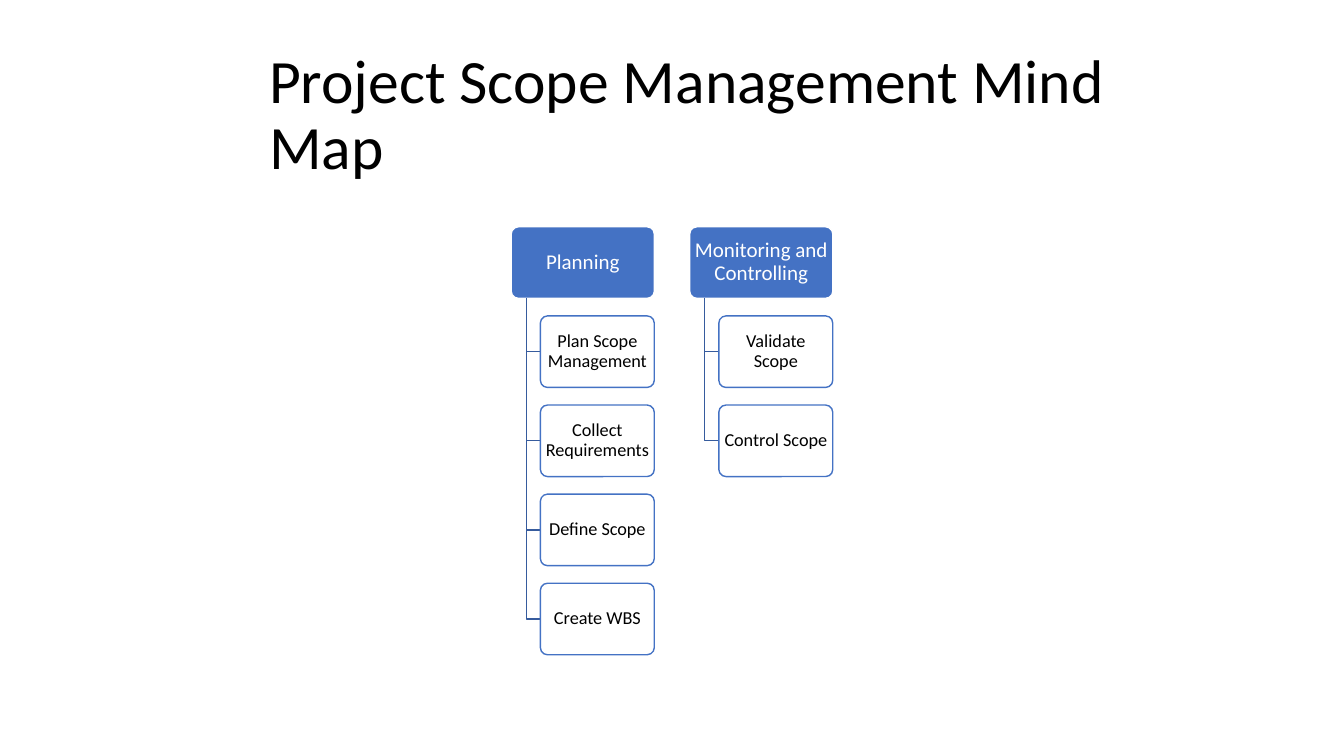
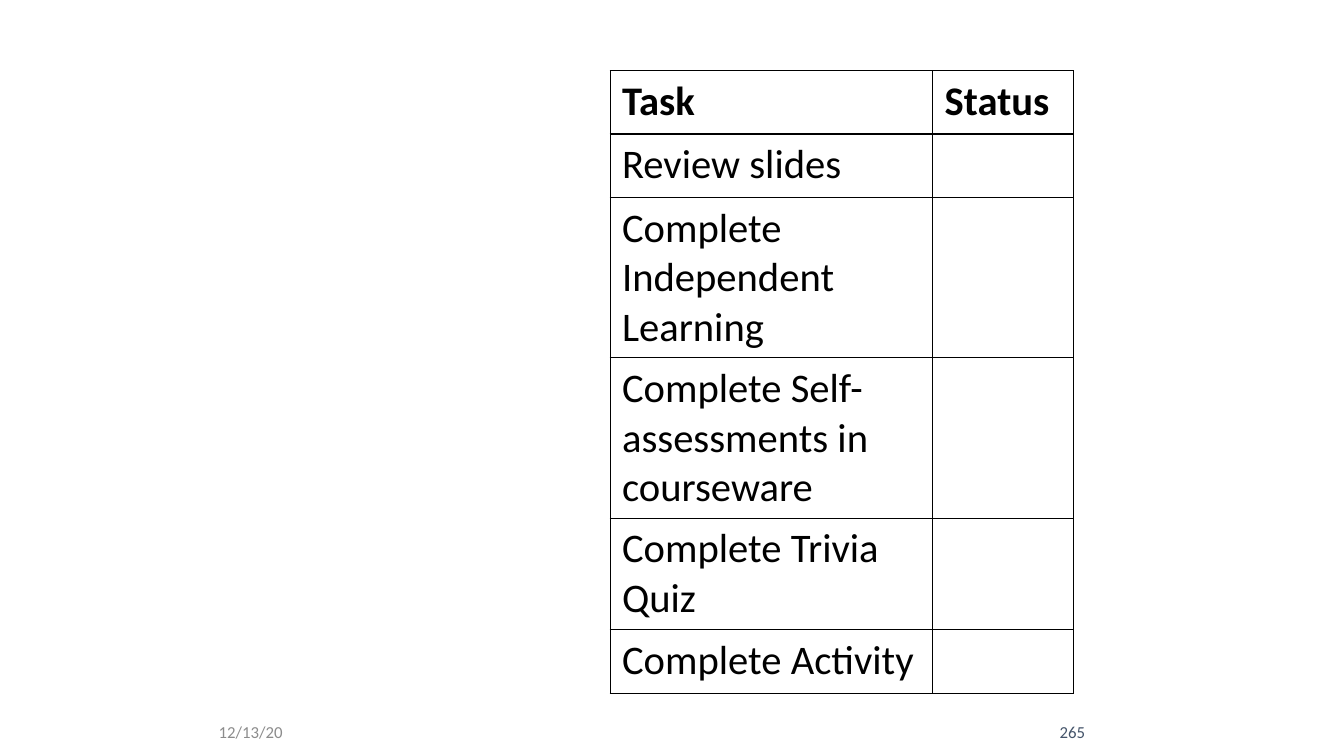
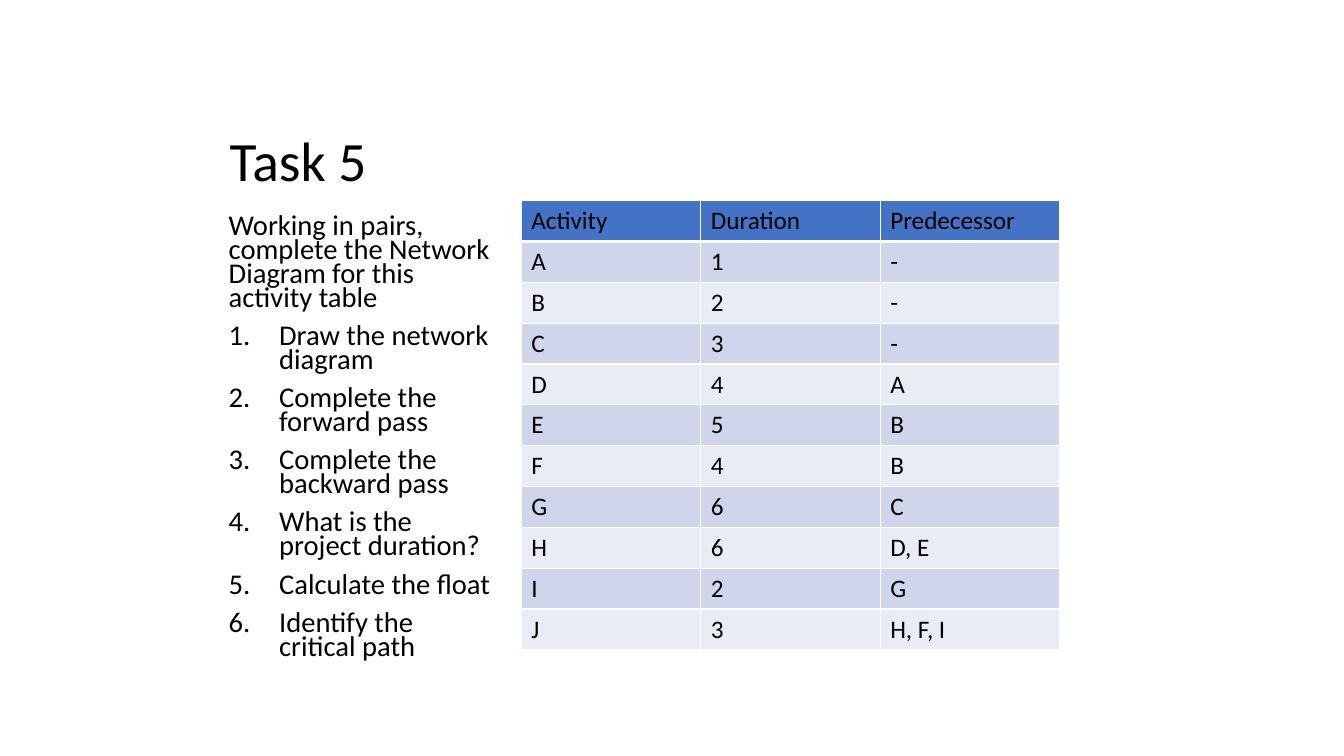
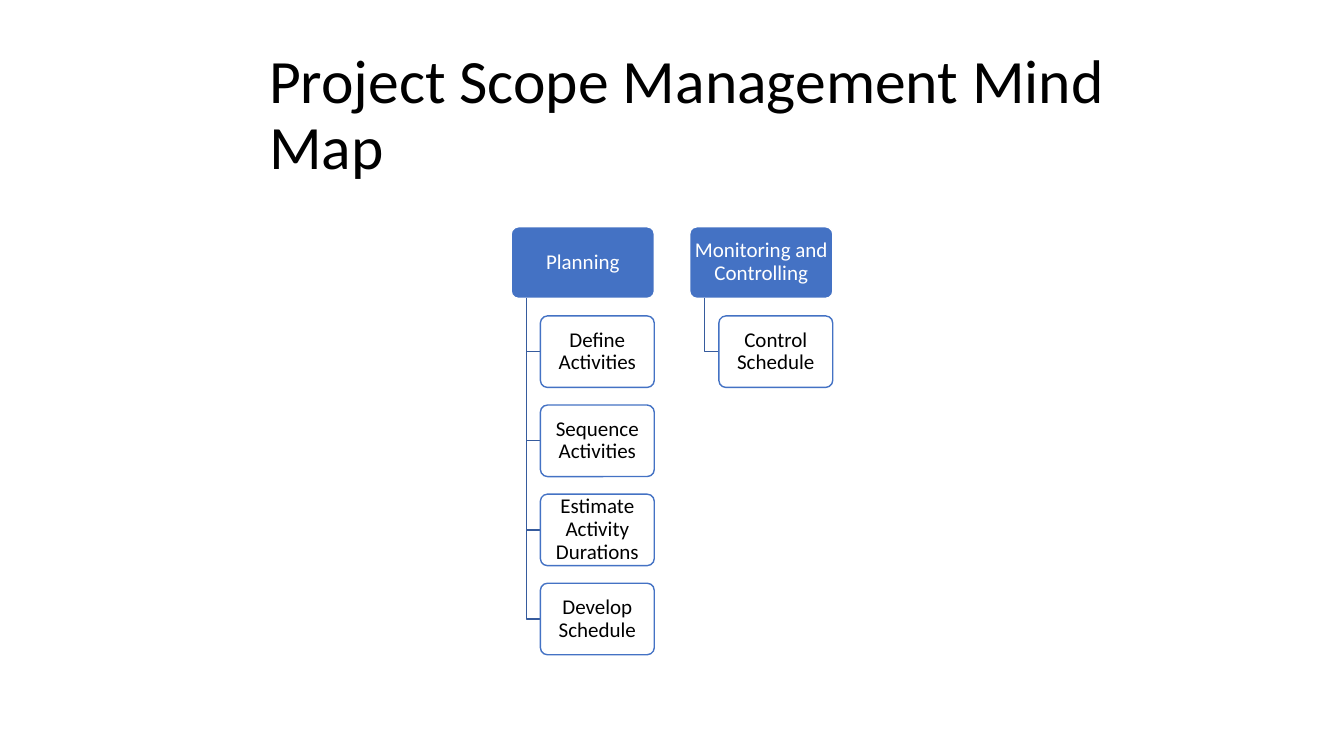
from lxml import etree
from pptx import Presentation
from pptx import util as u
from pptx.dml.color import RGBColor
from pptx.enum import shapes, text
from pptx.oxml import ns

FONT = "Calibri"
BLACK, WHITE, BLUE, EDGE = "000000", "FFFFFF", "4472C4", "365B9D"
BANDS = ["CFD5EA", "E9EBF5"]
GREY, SLATE = "8C8C8C", "44546A"

HEAD = "Project Scope Management Mind Map"
SCOPE = [
    ("Planning", ["Plan Scope Management", "Collect Requirements",
                  "Define Scope", "Create WBS"]),
    ("Monitoring and Controlling", ["Validate Scope", "Control Scope"]),
]
TIME = [
    ("Planning", ["Define Activities", "Sequence Activities",
                  "Estimate Activity Durations", "Develop Schedule"]),
    ("Monitoring and Controlling", ["Control Schedule"]),
]
CHECKS = [
    ("Task", "Status"),
    ("Review slides", ""),
    ("Complete Independent Learning", ""),
    ("Complete Self-assessments in courseware", ""),
    ("Complete Trivia Quiz", ""),
    ("Complete Activity", ""),
]
INTRO = "Working in pairs, complete the Network Diagram for this activity table"
STEPS = ["Draw the network diagram", "Complete the forward pass",
         "Complete the backward pass", "What is the project duration?",
         "Calculate the float", "Identify the critical path"]
PLAN = [
    ("Activity", "Duration", "Predecessor"),
    ("A", "1", "-"), ("B", "2", "-"), ("C", "3", "-"),
    ("D", "4", "A"), ("E", "5", "B"), ("F", "4", "B"),
    ("G", "6", "C"), ("H", "6", "D, E"), ("I", "2", "G"),
    ("J", "3", "H, F, I"),
]

prs = Presentation()
prs.slide_width, prs.slide_height = u.Inches(13.33), u.Inches(7.5)


def rgb(code):
    return RGBColor.from_string(code)


def inch(*nums):
    return [u.Inches(n) for n in nums]


def page():
    return prs.slides.add_slide(prs.slide_layouts[6])


def style(par, size, color=BLACK, bold=False, gap=None, align=None):
    if gap:
        par.line_spacing = gap
    if align:
        par.alignment = align
    font = par.font
    font.name, font.size, font.bold = FONT, u.Pt(size), bold
    font.color.rgb = rgb(color)


def label(slide, words, box, size, color=BLACK, gap=None, align=None):
    frame = slide.shapes.add_textbox(*inch(*box)).text_frame
    frame.word_wrap = True
    frame.vertical_anchor = text.MSO_ANCHOR.MIDDLE
    frame.text = words
    style(frame.paragraphs[0], size, color, gap=gap, align=align)


def title(slide, words, box, size=44):
    label(slide, words, box, size, gap=0.9)


def card(slide, words, box, size, fill, line, color):
    shape = slide.shapes.add_shape(
        shapes.MSO_SHAPE.ROUNDED_RECTANGLE, *inch(*box))
    shape.adjustments[0] = 0.1
    shape.shadow.inherit = False
    shape.fill.solid()
    shape.fill.fore_color.rgb = rgb(fill)
    shape.line.color.rgb = rgb(line)
    shape.line.width = u.Pt(1)
    frame = shape.text_frame
    frame.word_wrap = True
    frame.vertical_anchor = text.MSO_ANCHOR.MIDDLE
    frame.margin_left = frame.margin_right = u.Inches(0.02)
    frame.margin_top = frame.margin_bottom = u.Inches(0.02)
    frame.text = words
    style(frame.paragraphs[0], size, color, gap=0.9,
          align=text.PP_ALIGN.CENTER)


def elbow(slide, x, top, end, y):
    pen = slide.shapes.build_freeform(*inch(x, top), scale=1.0)
    pen.add_line_segments([inch(x, y), inch(end, y)], close=False)
    shape = pen.convert_to_shape()
    shape.shadow.inherit = False
    shape.fill.background()
    shape.line.color.rgb = rgb(EDGE)
    shape.line.width = u.Pt(1)


def tree(groups, size):
    slide = page()
    title(slide, HEAD, (2.57, 0.31, 8.6, 1.69))
    left, top, wide, high = 5.07, 2.25, 1.42, 0.71
    step, row, stem, dent = 1.77, 0.884, 0.15, 0.29
    for i, (head, kids) in enumerate(groups):
        x = left + i * step
        card(slide, head, (x, top, wide, high), 15, BLUE, WHITE, WHITE)
        for j, kid in enumerate(kids, 1):
            y = top + j * row
            elbow(slide, x + stem, top + high, x + dent, y + high / 2)
            card(slide, kid, (x + dent, y, wide - dent, high), size,
                 WHITE, BLUE, BLACK)


def border(cell, color, widths):
    props = cell._tc.get_or_add_tcPr()
    for side, width in zip("LRTB", widths):
        line = etree.SubElement(props, ns.qn("a:ln" + side),
                                w=str(u.Pt(width)))
        fill = etree.SubElement(line, ns.qn("a:solidFill"))
        etree.SubElement(fill, ns.qn("a:srgbClr"), val=color)


def grid(slide, data, spot, cols, rows, size, pad, edge, thin, thick,
         fills=None, bold=False):
    table = slide.shapes.add_table(
        len(data), len(cols), *inch(*spot, sum(cols), sum(rows))).table
    table.first_row = table.horz_banding = False
    for col, wide in zip(table.columns, cols):
        col.width = u.Inches(wide)
    for i, words in enumerate(data):
        table.rows[i].height = u.Inches(rows[i])
        for j, word in enumerate(words):
            cell = table.cell(i, j)
            cell.margin_left = cell.margin_right = u.Inches(pad)
            cell.margin_top = cell.margin_bottom = u.Inches(pad / 2)
            border(cell, edge, (thin, thin, thick if i == 1 else thin,
                                thick if i == 0 else thin))
            if fills:
                cell.fill.solid()
                cell.fill.fore_color.rgb = rgb(fills[i])
            else:
                cell.fill.background()
            cell.text = word
            style(cell.text_frame.paragraphs[0], size,
                  bold=bold and i == 0)


def checks():
    slide = page()
    label(slide, "12/13/20", (2.07, 7.06, 1.42, 0.4), 12, GREY)
    label(slide, "265", (9.97, 7.06, 0.89, 0.4), 12, SLATE,
          align=text.PP_ALIGN.RIGHT)
    grid(slide, CHECKS, (6.05, 0.7), [3.2, 1.4],
         [0.63, 0.63, 1.59, 1.59, 1.11, 0.63], 29, 0.12,
         BLACK, 0.75, 1.37, bold=True)


def task():
    slide = page()
    title(slide, "Task 5", (2.18, 1.22, 9, 0.8), 39.6)
    frame = slide.shapes.add_textbox(
        *inch(2.17, 2.1, 2.85, 4.49)).text_frame
    frame.word_wrap = True
    frame.text = "\n".join([INTRO] + STEPS)
    for i, par in enumerate(frame.paragraphs):
        if i:
            par.space_before = u.Pt(10)
            props = par._p.get_or_add_pPr()
            props.set("marL", str(u.Inches(0.5)))
            props.set("indent", str(u.Inches(-0.5)))
            etree.SubElement(props, ns.qn("a:buAutoNum"),
                             type="arabicPeriod")
        style(par, 20.4, gap=0.7)
    count = len(PLAN)
    fills = [BLUE] + [BANDS[i % 2] for i in range(count - 1)]
    grid(slide, PLAN, (5.17, 1.99), [1.78] * 3, [4.46 / count] * count,
         18, 0.1, WHITE, 1, 3, fills)


def main():
    tree(SCOPE, 13)
    checks()
    task()
    tree(TIME, 15)
    prs.save("out.pptx")


if __name__ == "__main__":
    main()
